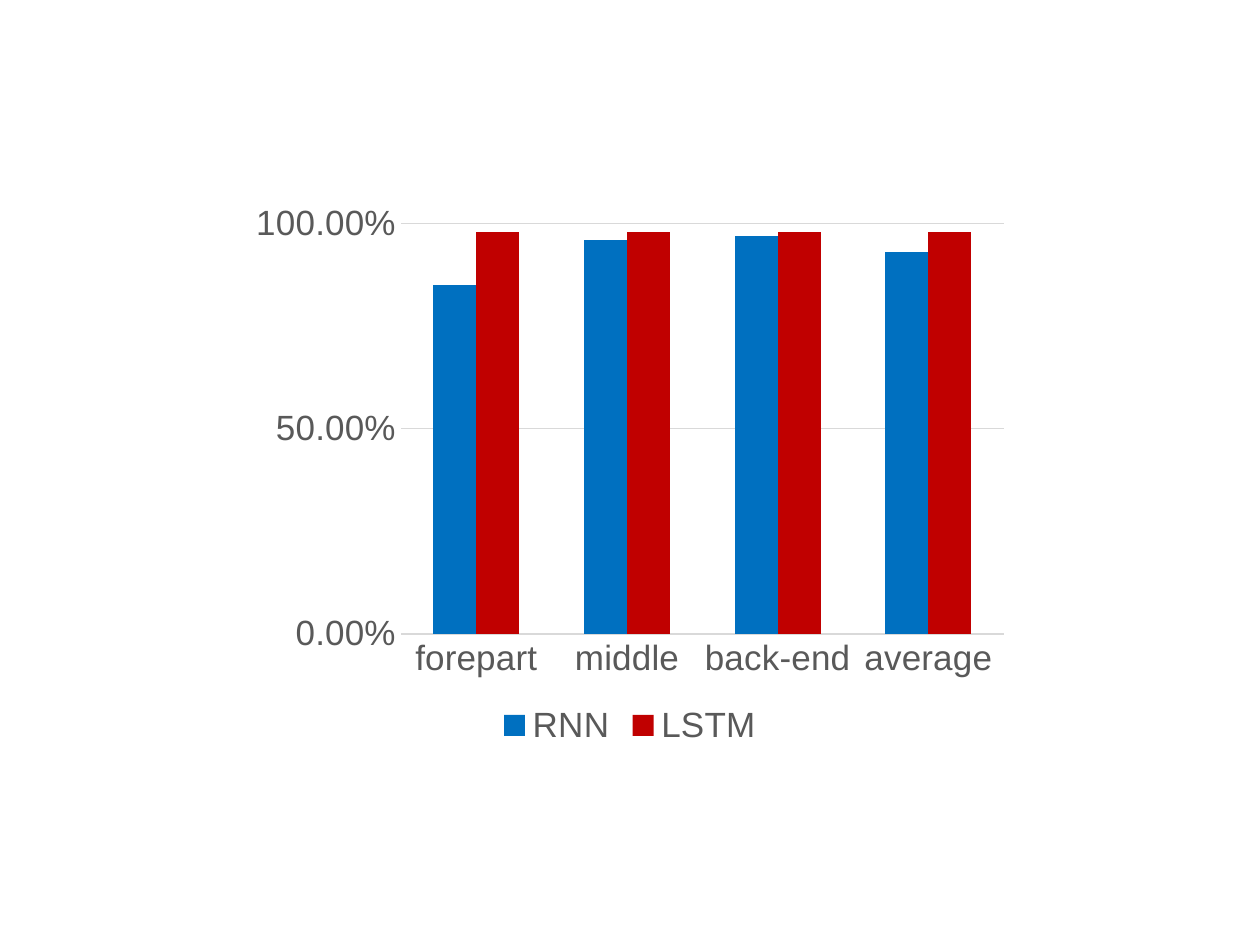
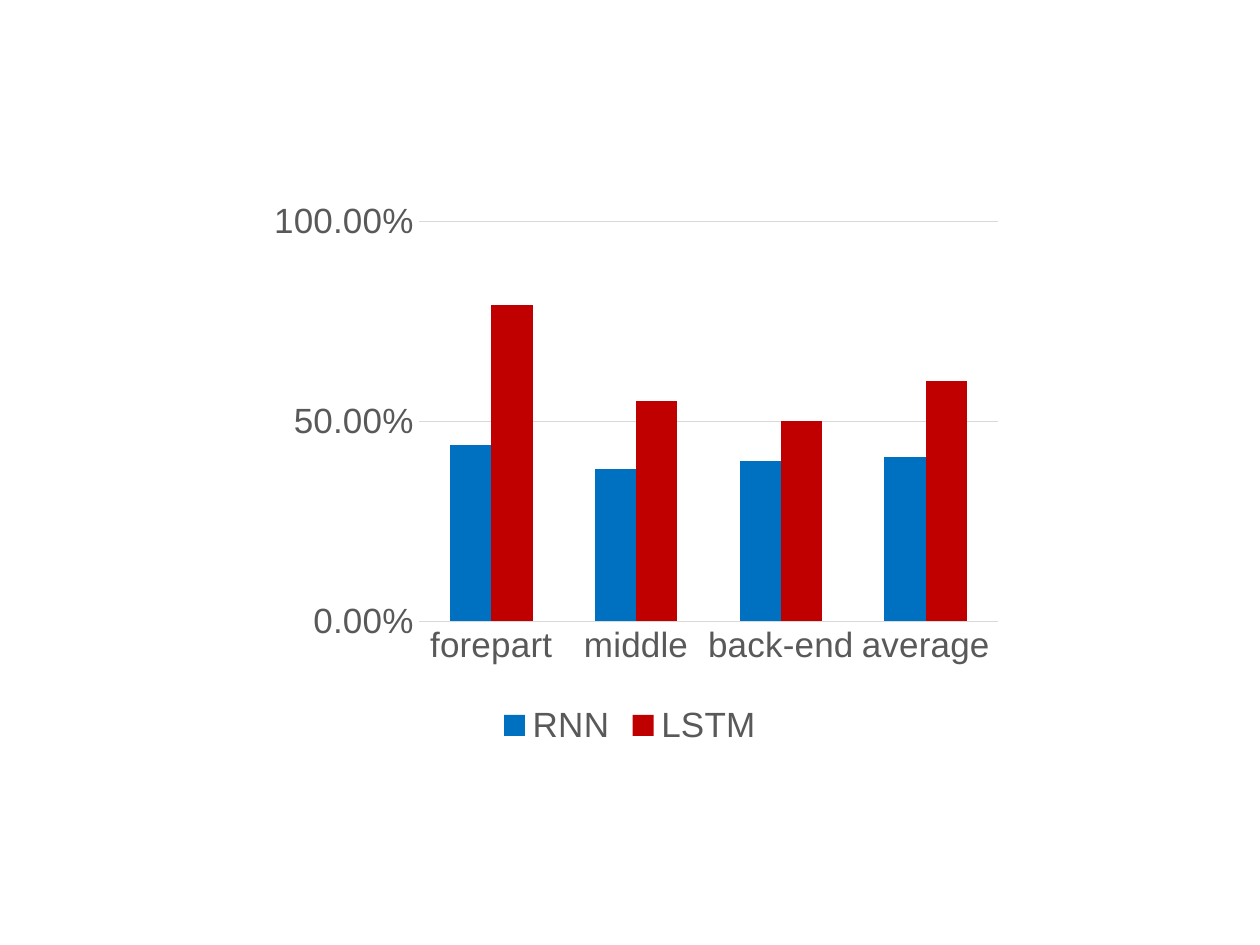
import pptx
import pptx.chart.data
import pptx.dml.color
import pptx.enum.chart
import pptx.oxml
import pptx.oxml.ns
import pptx.util
from pptx.util import Inches

BLUE = pptx.dml.color.RGBColor(0x00, 0x70, 0xC0)
RED = pptx.dml.color.RGBColor(0xC0, 0x00, 0x00)
GREY_TEXT = pptx.dml.color.RGBColor(0x59, 0x59, 0x59)
GREY_LINE = pptx.dml.color.RGBColor(0xD9, 0xD9, 0xD9)

CATEGORIES = ["forepart", "middle", "back-end", "average"]
SERIES_COLORS = {"RNN": BLUE, "LSTM": RED}
CHARTS = [
    {
        "values": {"RNN": [0.85, 0.96, 0.97, 0.93], "LSTM": [0.98, 0.98, 0.98, 0.98]},
        "plot_area": None,
    },
    {
        "values": {"RNN": [0.44, 0.38, 0.40, 0.41], "LSTM": [0.79, 0.55, 0.50, 0.60]},
        "plot_area": {"x": 0.229, "y": 0.051, "w": 0.744, "h": 0.715},
    },
]


def format_text(text, size=20, color=GREY_TEXT, name="Arial"):
    text.font.size = pptx.util.Pt(size)
    text.font.color.rgb = color
    text.font.name = name


def format_line(line):
    line.color.rgb = GREY_LINE
    line.width = pptx.util.Pt(0.75)


deck = pptx.Presentation()
deck.slide_width = Inches(10)
deck.slide_height = Inches(7.5)
blank_layout = deck.slide_layouts[6]

for details in CHARTS:
    page = deck.slides.add_slide(blank_layout)
    data = pptx.chart.data.CategoryChartData(number_format="0.00%")
    data.categories = CATEGORIES
    for name, values in details["values"].items():
        data.add_series(name, values)

    chart = page.shapes.add_chart(
        pptx.enum.chart.XL_CHART_TYPE.COLUMN_CLUSTERED,
        Inches(1.91), Inches(1.53), Inches(6.18), Inches(4.44), data,
    ).chart
    chart.has_title = False
    format_text(chart, size=10)

    plot = chart.plots[0]
    plot.gap_width = 150
    plot.overlap = 0
    plot.vary_by_categories = False
    for series in plot.series:
        series.format.fill.solid()
        series.format.fill.fore_color.rgb = SERIES_COLORS[series.name]
        series.format.line.fill.background()

    for axis in (chart.category_axis, chart.value_axis):
        axis.major_tick_mark = pptx.enum.chart.XL_TICK_MARK.NONE
        axis.minor_tick_mark = pptx.enum.chart.XL_TICK_MARK.NONE
        format_text(axis.tick_labels)
    format_line(chart.category_axis.format.line)

    value_axis = chart.value_axis
    value_axis.minimum_scale = 0
    value_axis.maximum_scale = 1
    value_axis.major_unit = 0.5
    value_axis.tick_labels.number_format = "0.00%"
    value_axis.tick_labels.number_format_is_linked = False
    value_axis.format.line.fill.background()
    value_axis.has_major_gridlines = True
    format_line(value_axis.major_gridlines.format.line)

    chart.has_legend = True
    chart.legend.position = pptx.enum.chart.XL_LEGEND_POSITION.BOTTOM
    chart.legend.include_in_layout = False
    format_text(chart.legend)

    if details["plot_area"]:
        modes = '<c:layoutTarget val="inner"/><c:xMode val="edge"/><c:yMode val="edge"/>'
        sizes = "".join(f'<c:{key} val="{value}"/>' for key, value in details["plot_area"].items())
        layout = pptx.oxml.parse_xml(
            f'<c:layout {pptx.oxml.ns.nsdecls("c")}>'
            f"<c:manualLayout>{modes}{sizes}</c:manualLayout></c:layout>"
        )
        area = chart.element.find(".//" + pptx.oxml.ns.qn("c:plotArea"))
        for old_layout in area.findall(pptx.oxml.ns.qn("c:layout")):
            area.remove(old_layout)
        area.insert(0, layout)

deck.save("out.pptx")
